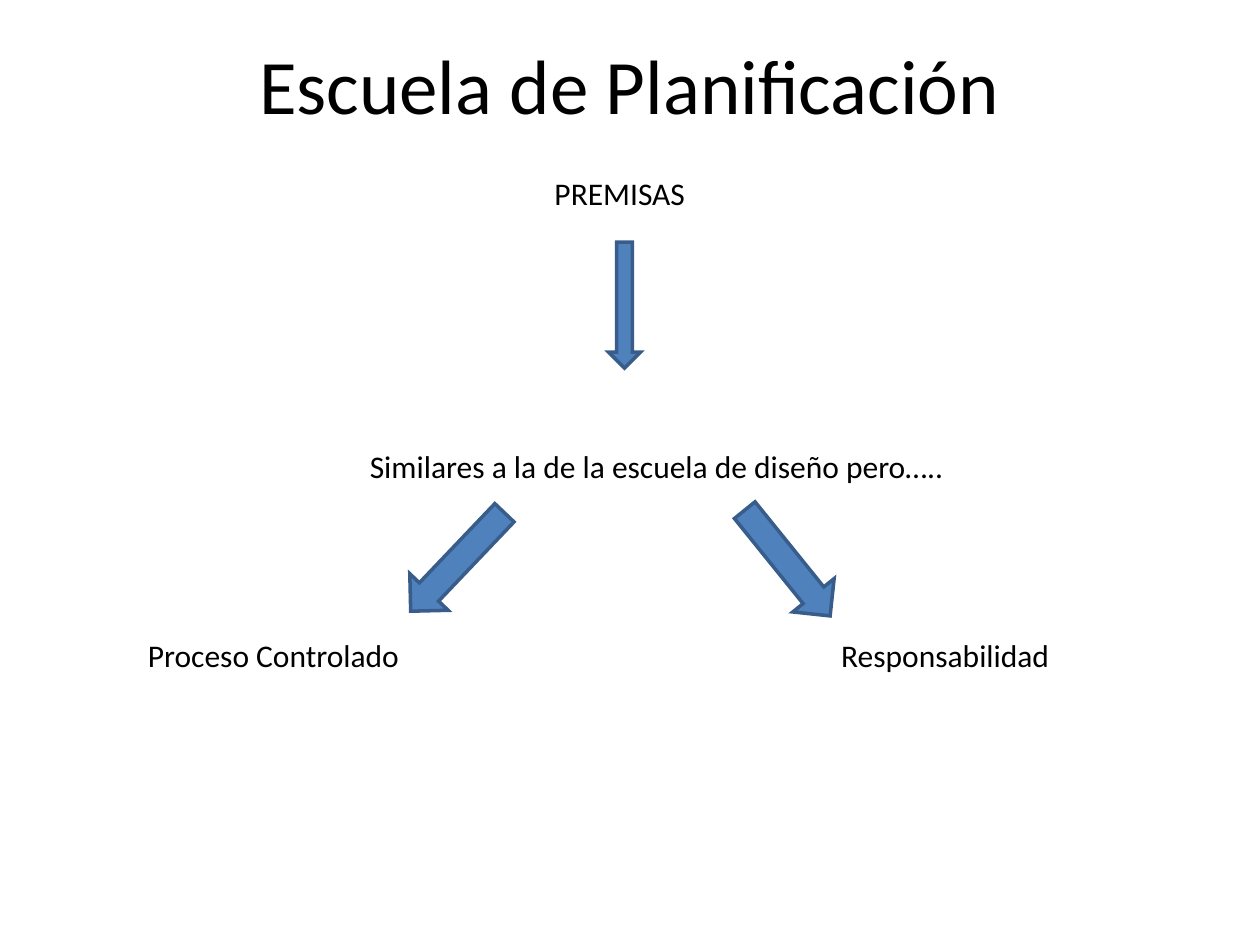
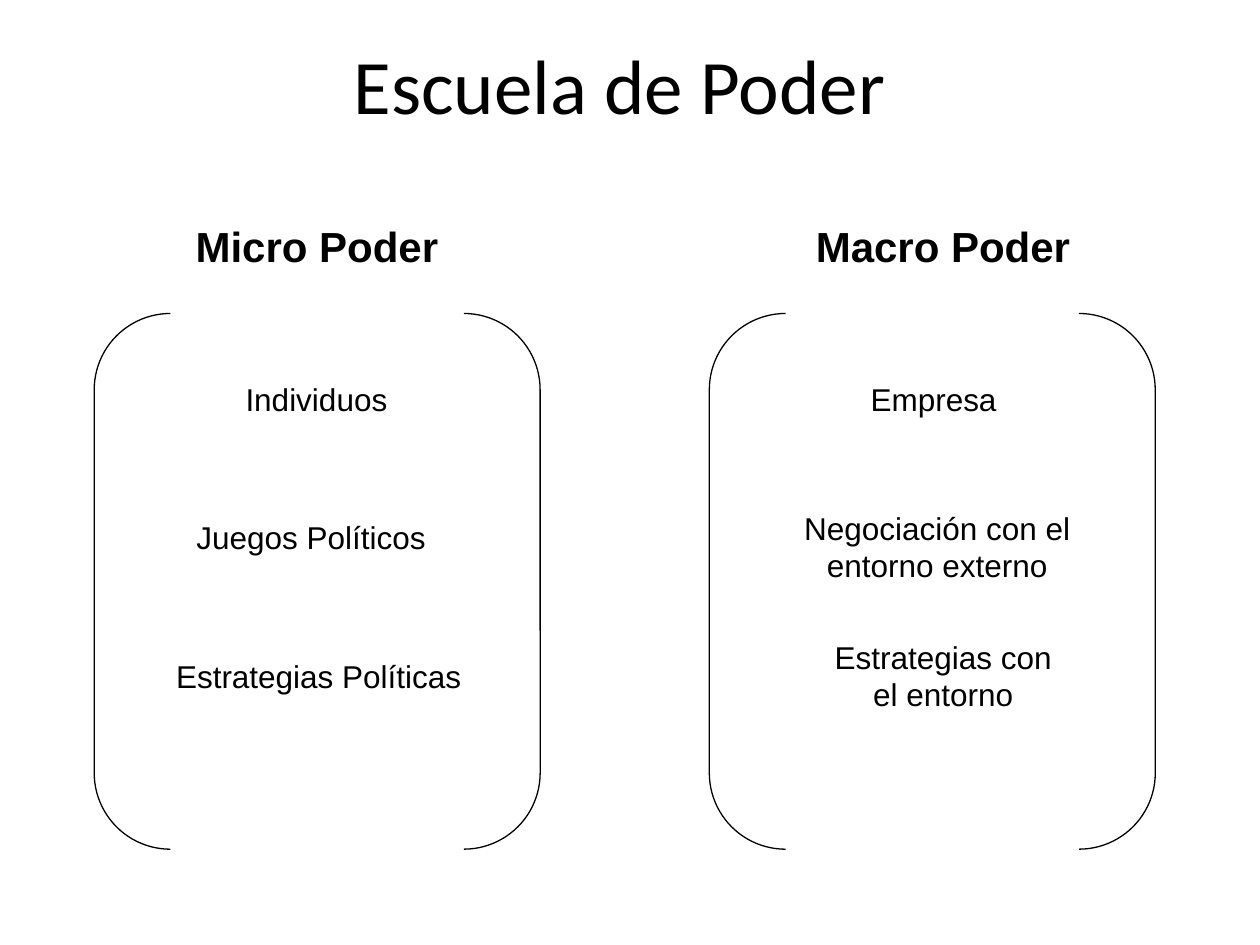
from dataclasses import dataclass

from lxml.etree import SubElement
from pptx import Presentation
from pptx.dml.color import RGBColor
from pptx.enum.shapes import MSO_SHAPE
from pptx.enum.text import MSO_ANCHOR, PP_ALIGN
from pptx.oxml.ns import qn
from pptx.shapes.autoshape import Shape
from pptx.slide import Slide
from pptx.util import Cm, Pt

BLACK = "000000"
BLUE = "4F81BD"
NAVY = "385D8A"
SANS = "Calibri"
ARIAL = "Arial"


@dataclass
class Label:
    text: str
    left: float
    top: float
    width: float
    height: float = 1.02
    font: str = SANS
    size: int = 18
    bold: bool = False
    wrap: bool = True
    anchor: MSO_ANCHOR = MSO_ANCHOR.TOP


@dataclass
class Arrow:
    left: float
    top: float
    width: float
    height: float
    turn: float = 0


@dataclass
class Panel:
    head: str
    head_left: float
    left: float
    items: list[Label]


PREMISES = [
    Label("PREMISAS", 9.32, 3.38, 6.35),
    Label("Similares a la de la escuela de diseño pero…..", 5.72, 8.89, 15.04),
    Label("Proceso Controlado", 2.34, 12.7, 6.35),
    Label("Responsabilidad", 15.88, 12.7, 6.35),
]

ARROWS = [
    Arrow(12.27, 4.88, 0.64, 2.54),
    Arrow(8.69, 9.96, 1.07, 2.74, 43.6),
    Arrow(15.34, 9.98, 1.07, 2.74, 321.1),
]

PANELS = [
    Panel("Micro Poder", 2.29, 1.9, [
        Label("Individuos", 4.7, 7.53, 3.6, font=ARIAL, wrap=False),
        Label("Juegos Políticos", 3.71, 10.31, 5.4, font=ARIAL, wrap=False),
        Label("Estrategias Políticas", 3.3, 13.13, 6.6, font=ARIAL, wrap=False),
    ]),
    Panel("Macro Poder", 14.91, 14.3, [
        Label("Empresa", 17.3, 7.53, 3.3, font=ARIAL, wrap=False),
        Label("Negociación con el entorno externo", 15.9, 10.13, 5.99, 1.78, ARIAL),
        Label("Estrategias con el entorno", 16.31, 12.73, 5.41, 1.78, ARIAL),
    ]),
]


def color(code: str) -> RGBColor:
    return RGBColor.from_string(code)


def add_label(slide: Slide, label: Label) -> None:
    box = slide.shapes.add_textbox(
        Cm(label.left), Cm(label.top), Cm(label.width), Cm(label.height))
    frame = box.text_frame
    frame.word_wrap = label.wrap
    frame.vertical_anchor = label.anchor
    para = frame.paragraphs[0]
    para.alignment = PP_ALIGN.CENTER if label.wrap else PP_ALIGN.LEFT
    run = para.add_run()
    run.text = label.text
    run.font.name = label.font
    run.font.size = Pt(label.size)
    run.font.bold = label.bold
    run.font.color.rgb = color(BLACK)


def add_title(slide: Slide, text: str, left: float) -> None:
    add_label(slide, Label(text, left, 0.64, 21.59, 2.11, size=44,
                           anchor=MSO_ANCHOR.MIDDLE))


def set_line(shape: Shape, code: str, width: float) -> None:
    """Outline the shape with sharp corners and no shadow."""
    shape.shadow.inherit = False
    shape.line.color.rgb = color(code)
    shape.line.width = Pt(width)
    SubElement(shape.element.spPr.find(qn("a:ln")), qn("a:miter"), lim="800000")


def add_arrow(slide: Slide, arrow: Arrow) -> None:
    shape = slide.shapes.add_shape(
        MSO_SHAPE.DOWN_ARROW, Cm(arrow.left), Cm(arrow.top),
        Cm(arrow.width), Cm(arrow.height))
    shape.rotation = arrow.turn
    shape.fill.solid()
    shape.fill.fore_color.rgb = color(BLUE)
    set_line(shape, NAVY, 2)


def add_panel(slide: Slide, panel: Panel) -> None:
    """Draw a heading above a pair of brackets that holds the items."""
    add_label(slide, Label(panel.head, panel.head_left, 4.33, 8.2, 1.27,
                           ARIAL, 24, bold=True))
    pair = slide.shapes.add_shape(
        MSO_SHAPE.DOUBLE_BRACKET, Cm(panel.left), Cm(6.32), Cm(8.99), Cm(10.8))
    pair.adjustments[0] = 0.171
    pair.fill.background()
    set_line(pair, BLACK, 0.75)
    for item in panel.items:
        add_label(slide, item)


def main() -> None:
    deck = Presentation()
    deck.slide_width, deck.slide_height = Cm(25.4), Cm(19.05)
    blank = deck.slide_layouts[6]

    plan = deck.slides.add_slide(blank)
    add_title(plan, "Escuela de Planificación", 1.9)
    for label in PREMISES:
        add_label(plan, label)
    for arrow in ARROWS:
        add_arrow(plan, arrow)

    power = deck.slides.add_slide(blank)
    add_title(power, "Escuela de Poder", 1.7)
    for panel in PANELS:
        add_panel(power, panel)

    deck.save("out.pptx")


if __name__ == "__main__":
    main()
